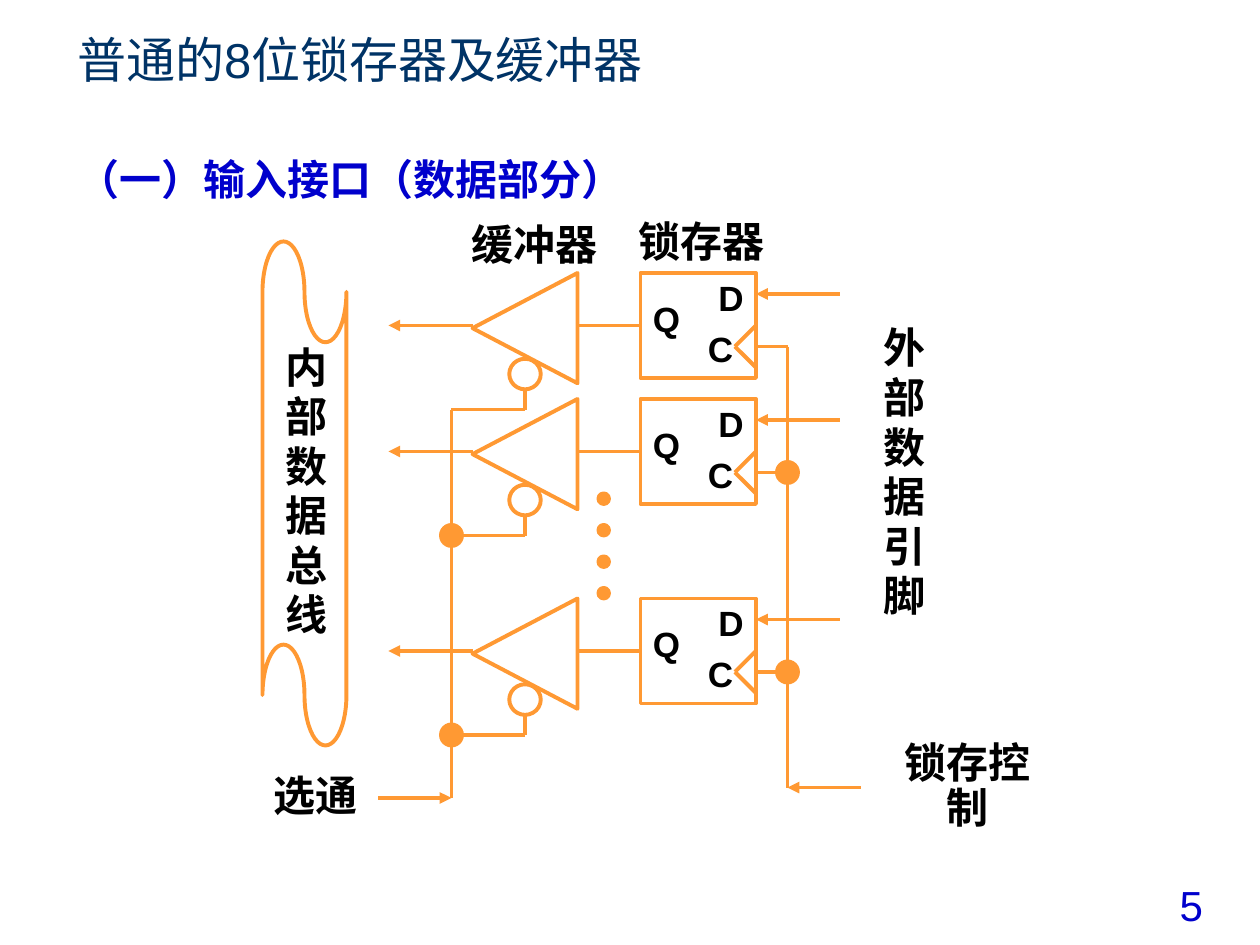
from dataclasses import dataclass

from pptx import Presentation
from pptx.dml.color import RGBColor
from pptx.enum.shapes import MSO_CONNECTOR, MSO_SHAPE
from pptx.enum.text import MSO_ANCHOR, MSO_AUTO_SIZE as AutoSize, PP_ALIGN
from pptx.oxml.ns import qn
from pptx.oxml.xmlchemy import OxmlElement
from pptx.util import Pt


@dataclass(frozen=True)
class Theme:
    font: str = "Arial"
    title: RGBColor = RGBColor(0x00, 0x33, 0x66)
    accent: RGBColor = RGBColor(0x00, 0x00, 0xCC)
    ink: RGBColor = RGBColor(0x00, 0x00, 0x00)
    wire: RGBColor = RGBColor(0xFF, 0x99, 0x33)
    title_size: int = 28
    label_size: int = 24
    pin_size: int = 20
    wire_width: float = 2.25


THEME = Theme()


def place(shape, left, top, width, height):
    shape.left, shape.top = Pt(left), Pt(top)
    shape.width, shape.height = Pt(width), Pt(height)


def add_run(paragraph, text, size, color, bold=False):
    run = paragraph.add_run()
    run.text = text
    font = run.font
    font.name, font.size, font.bold = THEME.font, Pt(size), bold
    font.color.rgb = color


def add_label(slide, box, lines, size=THEME.label_size, color=THEME.ink,
              bold=True, wrap=False, anchor=MSO_ANCHOR.MIDDLE):
    frame = slide.shapes.add_textbox(*map(Pt, box)).text_frame
    frame.word_wrap = wrap
    frame.auto_size = AutoSize.SHAPE_TO_FIT_TEXT
    frame.vertical_anchor = anchor
    for index, line in enumerate(lines):
        paragraph = frame.add_paragraph() if index else frame.paragraphs[0]
        paragraph.alignment = PP_ALIGN.CENTER
        paragraph.line_spacing = 0.9
        paragraph.space_after = Pt(size * 0.1)
        add_run(paragraph, line, size, color, bold)


def add_outline(slide, kind, left, top, width, height, filled=False):
    shape = slide.shapes.add_shape(kind, *map(Pt, (left, top, width, height)))
    shape.shadow.inherit = False
    if filled:
        shape.fill.solid()
        shape.fill.fore_color.rgb = THEME.wire
    else:
        shape.fill.background()
    shape.line.color.rgb = THEME.wire
    shape.line.width = Pt(THEME.wire_width)
    return shape


def add_dot(slide, x, y, size):
    add_outline(slide, MSO_SHAPE.OVAL, x - size / 2, y - size / 2, size, size, True)


def add_wire(slide, start, end, arrow=False):
    wire = slide.shapes.add_connector(MSO_CONNECTOR.STRAIGHT, *map(Pt, start + end))
    wire.line.color.rgb = THEME.wire
    wire.line.width = Pt(THEME.wire_width)
    if arrow:
        tail = OxmlElement("a:tailEnd")
        tail.set("type", "triangle")
        wire.line._get_or_add_ln().append(tail)
    wire._element.spPr.append(OxmlElement("a:effectLst"))
    return wire


def add_heading(slide, title_box, body_box):
    title, body = slide.shapes.title, slide.placeholders[1]
    place(title, *title_box)
    place(body, *body_box)
    for shape in (title, body):
        shape.text_frame.auto_size = AutoSize.NONE
        shape.text_frame.word_wrap = True
    title.text_frame.vertical_anchor = MSO_ANCHOR.BOTTOM
    paragraph = title.text_frame.paragraphs[0]
    paragraph.alignment = PP_ALIGN.LEFT
    add_run(paragraph, "普通的8位锁存器及缓冲器", THEME.title_size, THEME.title)

    body.text_frame.vertical_anchor = MSO_ANCHOR.TOP
    paragraph = body.text_frame.paragraphs[0]
    properties = paragraph._p.get_or_add_pPr()
    properties.set("marL", str(Pt(27)))
    properties.set("indent", str(Pt(-27)))
    properties.append(OxmlElement("a:buNone"))
    paragraph.line_spacing = 1.25
    paragraph.space_before = Pt(0)
    add_run(paragraph, "（一）输入接口（数据部分）", THEME.label_size, THEME.accent, True)


def add_data_bus(slide, left, top, width, height):
    tape = add_outline(slide, MSO_SHAPE.FLOWCHART_PUNCHED_TAPE, left, top, width, height)
    tape._element.spPr.find(qn("a:xfrm")).set("flipH", "1")
    add_label(slide, (left + 6, top + 54, 38, 180), "内部数据总线")


def add_buffer(slide, left, top, strobe_x):
    triangle = add_outline(slide, MSO_SHAPE.ISOSCELES_TRIANGLE, left - 1.5, top + 1.5, 63, 60)
    triangle.rotation = 270
    add_outline(slide, MSO_SHAPE.OVAL, left + 21, top + 49, 18, 17.5)
    add_wire(slide, (left, top + 30), (left - 48, top + 30), True)
    add_wire(slide, (left + 30, top + 66), (left + 30, top + 78))
    add_wire(slide, (strobe_x, top + 78), (left + 30, top + 78))


def add_latch(slide, left, top, width, height, control_x):
    latch = add_outline(slide, MSO_SHAPE.RECTANGLE, left, top, width, height)
    right, middle, clock_y = left + width, top + height / 2, top + 42
    add_wire(slide, (left - 36, middle), (left, middle)).end_connect(latch, 1)
    add_wire(slide, (right - 12, clock_y), (right, clock_y + 12))
    add_wire(slide, (right - 12, clock_y), (right, middle)).end_connect(latch, 3)
    add_wire(slide, (right + 48, top + 12), (right, top + 12), True)
    add_wire(slide, (right, clock_y), (control_x, clock_y))
    for pin, x, y in (("D", 37, 0), ("C", 31, 29), ("Q", 0, 12)):
        add_label(slide, (left + x, top + y, 29.5, 31), [pin], THEME.pin_size)


def add_circuit(slide, left, top):
    strobe_x, control_x = left + 36, left + 228
    row_tops = [top, top + 72, top + 186]
    for row_top in row_tops:
        add_buffer(slide, left + 48, row_top, strobe_x)
        add_latch(slide, left + 144, row_top, 66, 60, control_x)
    for row_top in row_tops[1:]:
        add_dot(slide, strobe_x, row_top + 78, 12)
        add_dot(slide, control_x, row_top + 42, 12)
    for step in range(4):
        add_dot(slide, left + 123, top + 129 + 18 * step, 6)

    strobe_y, control_y = top + 300, top + 294
    add_wire(slide, (strobe_x, top + 78), (strobe_x, strobe_y))
    add_wire(slide, (strobe_x - 42, strobe_y), (strobe_x, strobe_y), True)
    add_wire(slide, (control_x, top + 42), (control_x, control_y))
    add_wire(slide, (control_x + 42, control_y), (control_x, control_y), True)

    add_label(slide, (left + 39.5, top - 32, 88, 34), ["缓冲器"])
    add_label(slide, (left + 135, top - 33.5, 88, 34), ["锁存器"])
    add_label(slide, (left + 276, top + 25, 38, 180), "外部数据引脚")
    add_label(slide, (left + 276, top + 276, 110, 36), ["锁存控制"])
    add_label(slide, (left - 78, top + 282, 73, 36), ["选通"], wrap=True)


def add_page_number(slide, box):
    add_label(slide, box, ["5"], color=THEME.accent, bold=False, wrap=True,
              anchor=MSO_ANCHOR.TOP)


def main():
    presentation = Presentation()
    presentation.slide_width, presentation.slide_height = Pt(720), Pt(540)
    slide = presentation.slides.add_slide(presentation.slide_layouts[1])
    add_heading(slide, (37, 9.5, 645, 44.5), (37, 77, 623, 42))
    add_data_bus(slide, 150, 138, 48, 288)
    add_circuit(slide, 222, 156)
    add_page_number(slide, (649.5, 502.5, 62.5, 33))
    presentation.save("out.pptx")


if __name__ == "__main__":
    main()
